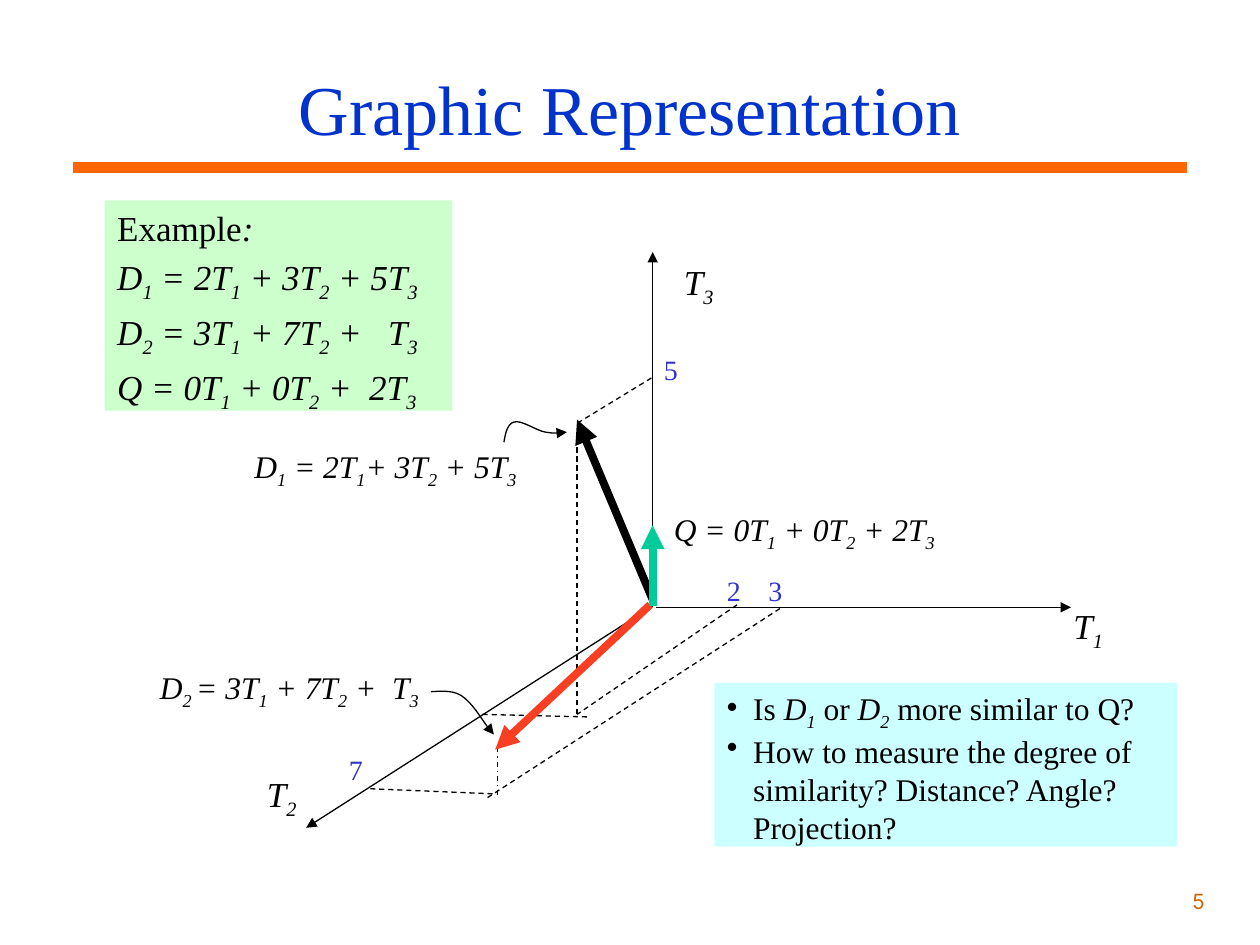
"""Build a slide that shows document and query vectors in a three-term space."""
from lxml import etree
from pptx import Presentation, util as u
from pptx.dml.color import RGBColor
from pptx.enum import dml, shapes, text
from pptx.oxml.ns import qn

THEME = {
    "serif": "Times New Roman", "sans": "Inter",
    "title": "0033CC", "rule": "FF6600", "number": "CC6600", "ink": "000000",
    "tick": "3333CC", "example": "CCFFCC", "question": "CCFFFF",
    "d2": "F83F24", "q": "00CC99",
    "title_size": 40, "large": 20, "formula": 18, "tick_size": 16, "small": 12,
    "thin": 0.75, "vector": 4.5, "bar": 6,
}

TITLE = "Graphic Representation"
EXAMPLE = [
    [("Example", False), (":", True)],
    [("D~1~ = 2T~1~ + 3T~2~ + 5T~3~", True)],
    [("D~2~ = 3T~1~ + 7T~2~ +   T~3~", True)],
    [("Q = 0T~1~ + 0T~2~ +  2T~3~", True)],
]
QUESTIONS = [
    [("Is ", False), ("D~1~", True), (" or ", False), ("D~2~", True),
     (" more similar to Q?", False)],
    [("How to measure the degree of similarity? Distance? Angle? Projection?", False)],
]
ORIGIN = (5.18, 4.81)
AXES = [((5.21, 4.82), (8.5, 4.82)), (ORIGIN, (2.43, 6.57)), (ORIGIN, (5.18, 2))]
GUIDES = [
    ((5.85, 4.8), (4.58, 5.67)), ((3.83, 5.67), (4.66, 5.69)),
    ((4.58, 5.67), (4.58, 3.5)), ((6.19, 4.83), (3.87, 6.33)),
    ((3.91, 6.3), (2.94, 6.26)), ((5.17, 3), (4.58, 3.36)),
]
DROP = ((3.95, 6.31), (3.95, 5.92))
VECTORS = [
    ((5.18, 4.76), (4.58, 3.33), "ink"),
    ((5.16, 4.8), (3.93, 5.95), "d2"),
    (ORIGIN, (5.18, 4.17), "q"),
]
POINTERS = [
    [(4, 3.51), (4.01, 3.44), (4.03, 3.36), (4.08, 3.35), (4.14, 3.33),
     (4.26, 3.42), (4.33, 3.43), (4.4, 3.44), (4.45, 3.44), (4.5, 3.43)],
    [(3.42, 5.49), (3.46, 5.49), (3.58, 5.47), (3.66, 5.52), (3.75, 5.58),
     (3.86, 5.77), (3.92, 5.83)],
]
LABELS = {
    ("large", "ink", True, 0.45, 0.43): [
        ("T~3~", 5.33, 2.02), ("T~1~", 8.42, 4.75), ("T~2~", 2.02, 6.08)],
    ("formula", "ink", True, 2.3, 0.4): [
        ("D~1~ = 2T~1~+ 3T~2~ + 5T~3~", 1.92, 3.5),
        ("D~2 ~= 3T~1~ + 7T~2~ +  T~3~", 1.17, 5.25),
        ("Q = 0T~1~ + 0T~2~ + 2T~3~", 5.25, 4)],
    ("tick_size", "tick", False, 0.31, 0.37): [
        ("7", 2.67, 5.92), ("3", 6, 4.5), ("2", 5.67, 4.5), ("5", 5.17, 2.75)],
}


def color(name):
    return RGBColor.from_string(THEME[name])


def style(font, size, ink="ink", face="serif"):
    font.name, font.size = THEME[face], u.Pt(THEME[size])
    font.color.rgb = color(ink)


def add_spans(para, parts, size, ink="ink"):
    for words, italic in parts:
        for order, piece in enumerate(words.split("~")):
            if piece:
                span = para.add_run()
                span.text = piece
                style(span.font, size, ink)
                span.font.italic = italic
                if order % 2:
                    span._r.get_or_add_rPr().set("baseline", "-25000")


def add_list(frame, rows, size, indent, bullet=None):
    frame.word_wrap = True
    frame.auto_size = text.MSO_AUTO_SIZE.NONE
    for order, parts in enumerate(rows):
        para = frame.paragraphs[0] if order == 0 else frame.add_paragraph()
        para.alignment = text.PP_ALIGN.LEFT
        props = para._p.get_or_add_pPr()
        props.set("marL", str(u.Inches(indent)))
        props.set("indent", str(-u.Inches(indent)))
        if bullet:
            etree.SubElement(props, qn("a:buChar")).set("char", bullet)
        else:
            etree.SubElement(props, qn("a:buNone"))
        add_spans(para, parts, size)


def place(shape, *lengths):
    shape.left, shape.top, shape.width, shape.height = map(u.Inches, lengths)


def fill(shape, name):
    shape.fill.solid()
    shape.fill.fore_color.rgb = color(name)


def draw_line(shape, ink="ink", weight="thin", dash=None, arrow=False):
    shape.line.color.rgb = color(ink)
    shape.line.width = u.Pt(THEME[weight])
    if dash:
        shape.line.dash_style = dash
    if arrow:
        outline = shape._element.spPr.find(qn("a:ln"))
        etree.SubElement(outline, qn("a:tailEnd")).set("type", "triangle")


def add_line(parent, start, end, **look):
    line = parent.add_connector(
        shapes.MSO_CONNECTOR.STRAIGHT, *map(u.Inches, (*start, *end)))
    draw_line(line, **look)
    etree.SubElement(line._element.spPr, qn("a:effectLst"))


def add_curve(parent, points):
    start, *bends = [(u.Inches(x), u.Inches(y)) for x, y in points]
    builder = parent.build_freeform(*start)
    builder.add_line_segments(bends, close=False)
    curve = builder.convert_to_shape()
    curve.fill.background()
    curve.shadow.inherit = False
    draw_line(curve, arrow=True)
    steps = list(curve._element.iter(qn("a:lnTo")))
    for first in range(0, len(steps), 3):
        bend = etree.Element(qn("a:cubicBezTo"))
        steps[first].addprevious(bend)
        for step in steps[first:first + 3]:
            bend.append(step[0])
            step.getparent().remove(step)


def add_diagram(page):
    group = page.shapes.add_group_shape().shapes
    for start, end in AXES:
        add_line(group, start, end, arrow=True)
    for start, end in GUIDES:
        add_line(group, start, end, dash=dml.MSO_LINE.DASH)
    add_line(group, *DROP, dash=dml.MSO_LINE.DASH_DOT)
    for start, end, ink in VECTORS:
        add_line(group, start, end, ink=ink, weight="vector", arrow=True)
    for points in POINTERS:
        add_curve(group, points)
    for (size, ink, italic, width, height), items in LABELS.items():
        for words, left, top in items:
            box = group.add_textbox(*map(u.Inches, (left, top, width, height)))
            box.text_frame.word_wrap = False
            add_spans(box.text_frame.paragraphs[0], [(words, italic)], size, ink)


def add_number(page):
    box = page.shapes.add_textbox(*map(u.Inches, (7.58, 7, 2.08, 0.5)))
    box.text_frame.word_wrap = True
    para = box.text_frame.paragraphs[0]
    para.alignment = text.PP_ALIGN.RIGHT
    span = para.add_run()
    span.text = "5"
    style(span.font, "small", "number", "sans")


deck = Presentation()
deck.slide_width, deck.slide_height = u.Inches(10), u.Inches(7.5)
page = deck.slides.add_slide(deck.slide_layouts[1])

title, body = page.placeholders
place(title, 0.75, 0.38, 8.5, 0.95)
title.text_frame.vertical_anchor = text.MSO_ANCHOR.MIDDLE
heading = title.text_frame.paragraphs[0]
heading.alignment = text.PP_ALIGN.CENTER
add_spans(heading, [(TITLE, False)], "title_size", "title")
add_line(page.shapes, (0.58, 1.33), (9.42, 1.33), ink="rule", weight="bar")

place(body, 0.83, 1.59, 2.76, 1.67)
fill(body, "example")
add_list(body.text_frame, EXAMPLE, "large", 0.38)

add_diagram(page)

question = page.shapes.add_shape(
    shapes.MSO_SHAPE.RECTANGLE, *map(u.Inches, (5.67, 5.42, 3.67, 1.3)))
fill(question, "question")
question.line.fill.background()
question.shadow.inherit = False
question.text_frame.vertical_anchor = text.MSO_ANCHOR.TOP
add_list(question.text_frame, QUESTIONS, "formula", 0.21, "•")

add_number(page)
deck.save("out.pptx")
